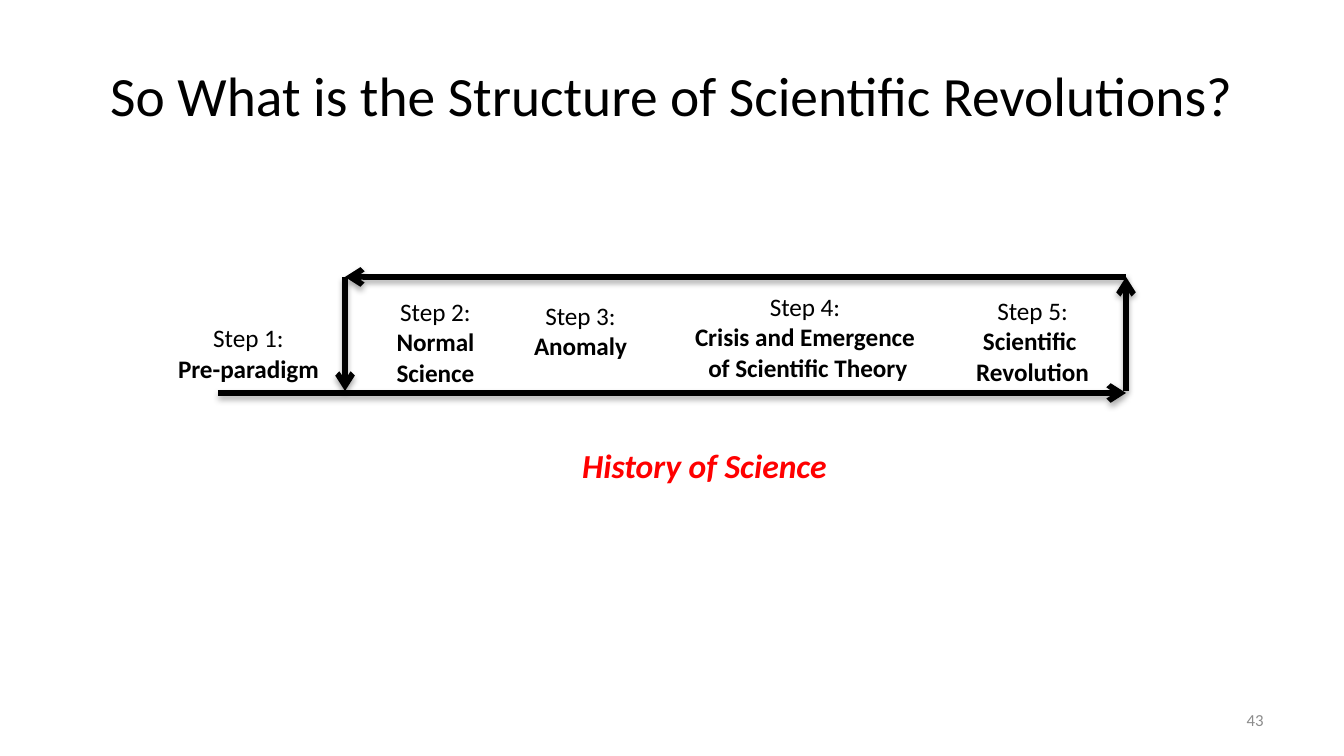
from lxml import etree
from pptx import Presentation
from pptx import util as u
from pptx.dml.color import RGBColor
from pptx.enum import shapes, text
from pptx.oxml import ns

BLACK = RGBColor(0, 0, 0)
RED = RGBColor(255, 0, 0)
GRAY = RGBColor(0x8C, 0x8C, 0x8C)
FONT = "Calibri"
SCALE = 914400 / 134.4
WIDTH, HEIGHT = 1344, 756

TITLE = "So What is the Structure of Scientific Revolutions?"
CAPTION = "History of Science"
PAGE_NUMBER = "43"
STEPS = [
    ((164, 316, 169, 75), False, ["Pre-paradigm"]),
    ((353, 290, 165, 105), True, ["Normal Science"]),
    ((520, 294, 121, 75), False, ["Anomaly"]),
    ((680, 285, 250, 105), False, ["Crisis and Emergence", " of Scientific Theory"]),
    ((962, 289, 141, 105), True, ["Scientific ", "Revolution"]),
]
START, LOOP_LEFT, LOOP_RIGHT = 218, 345, 1126
LOOP_TOP, LOOP_BOTTOM, TIMELINE = 277, 391, 393
ARROWS = [
    ((LOOP_RIGHT, LOOP_BOTTOM), (LOOP_RIGHT, LOOP_TOP)),
    ((LOOP_RIGHT, LOOP_TOP), (LOOP_LEFT, LOOP_TOP)),
    ((LOOP_LEFT, LOOP_TOP), (LOOP_LEFT, LOOP_BOTTOM)),
    ((START, TIMELINE), (LOOP_RIGHT, TIMELINE)),
]


def px(*lengths):
    return [u.Emu(round(length * SCALE)) for length in lengths]


def add_text(page, place, lines, size, color=BLACK, italic=False, wrap=True,
             align=text.PP_ALIGN.CENTER, anchor=text.MSO_ANCHOR.TOP):
    frame = page.shapes.add_textbox(*px(*place)).text_frame
    frame.word_wrap = wrap
    frame.vertical_anchor = anchor
    for index, (words, bold) in enumerate(lines):
        para = frame.add_paragraph() if index else frame.paragraphs[0]
        para.alignment = align
        span = para.add_run()
        span.text = words
        span.font.name = FONT
        span.font.size = u.Pt(size)
        span.font.bold = bold
        span.font.italic = italic
        span.font.color.rgb = color


def add_arrow(page, start, end):
    arrow = page.shapes.add_connector(shapes.MSO_CONNECTOR.STRAIGHT, *px(*start, *end))
    arrow.line.color.rgb = BLACK
    arrow.line.width = u.Pt(3)
    etree.SubElement(arrow.line._get_or_add_ln(), ns.qn("a:tailEnd"), type="arrow")
    effects = etree.SubElement(arrow._element.spPr, ns.qn("a:effectLst"))
    shadow = etree.SubElement(
        effects, ns.qn("a:outerShdw"), blurRad=str(u.Pt(3.1)), dist=str(u.Pt(1.8)),
        dir="5400000", rotWithShape="0")
    tint = etree.SubElement(shadow, ns.qn("a:srgbClr"), val=str(BLACK))
    etree.SubElement(tint, ns.qn("a:alpha"), val="35000")


deck = Presentation()
deck.slide_width, deck.slide_height = px(WIDTH, HEIGHT)
page = deck.slides.add_slide(deck.slide_layouts[6])

add_text(page, (67, 31, 1210, 126), [(TITLE, False)], 29.7,
         anchor=text.MSO_ANCHOR.MIDDLE)
for number, (place, wrap, names) in enumerate(STEPS, 1):
    lines = [(f"Step {number}:", False)] + [(name, True) for name in names]
    add_text(page, place, lines, 13.5, wrap=wrap)
add_text(page, (519, 438, 371, 54), [(CAPTION, True)], 18, RED, italic=True)
for start, end in ARROWS:
    add_arrow(page, start, end)
add_text(page, (964, 700, 313, 40), [(PAGE_NUMBER, False)], 9, GRAY,
         align=text.PP_ALIGN.RIGHT, anchor=text.MSO_ANCHOR.MIDDLE)

deck.save("out.pptx")
